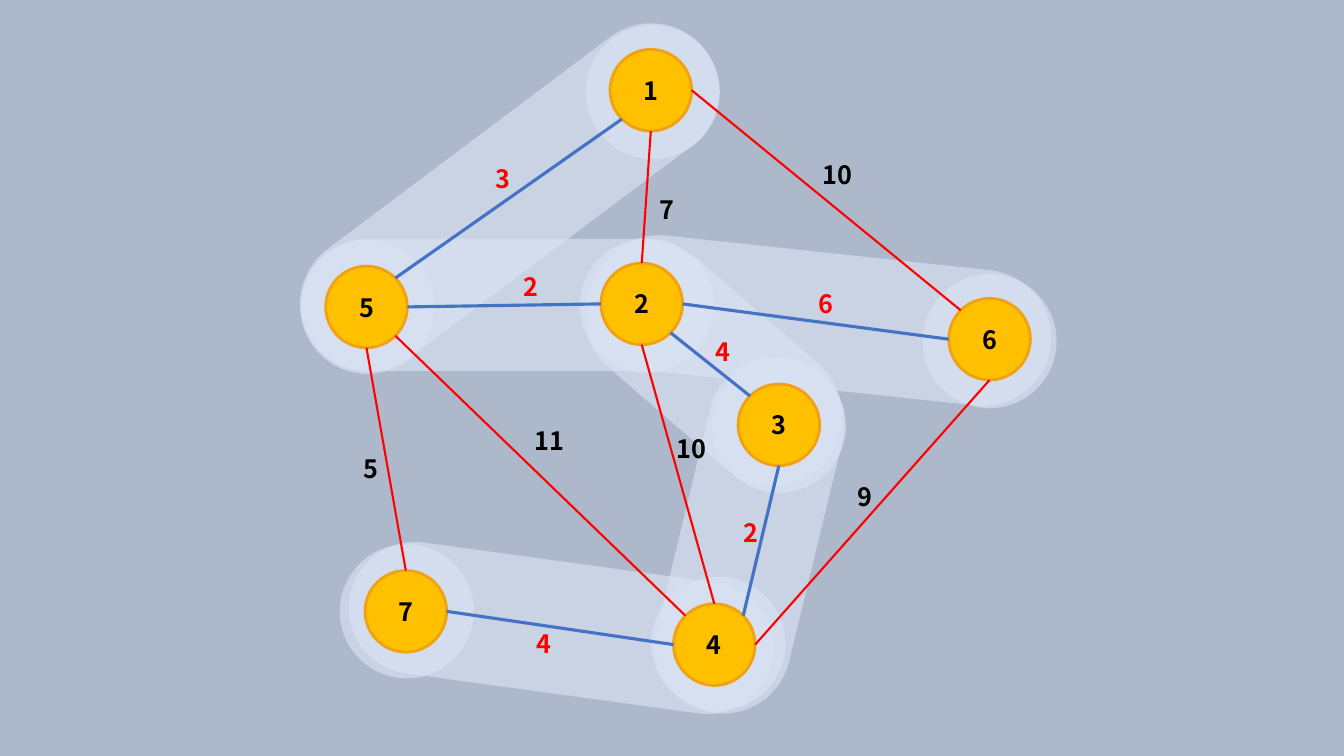
import math

from pptx import Presentation
from pptx.dml.color import RGBColor
from pptx.enum import shapes, text
from pptx.oxml import ns, xmlchemy
from pptx.util import Inches, Pt

COLORS = {"background": "ADB9CA", "halo": "DAE3F3", "node": "FFC000", "rim": "F1A116",
          "tree": "4472C4", "rest": "FF0000", "chosen": "FF0000", "plain": "000000"}
FONT = "Noto Sans CJK KR"
NODE_SIZE = 0.81
HALO_SIZE = 1.33
LABEL_HEIGHT = 0.4

BANDS_AND_HALOS = [
    ((7.47, 0.89, 1.35, 4.58, 96.1), (9.15, 2.72)),
    ((4.91, 4.11, 1.31, 4.24, 97.8), (3.37, 5.4)),
    ((6.76, 3.51, 1.35, 3.6, 193.6), (6.46, 5.72)),
    ((6.38, 2.16, 1.39, 2.93, 130.9), (7.06, 3.56)),
    ((4.38, 0.98, 1.31, 4.09, 90), (5.75, 2.37)),
    ((4.38, -0.47, 1.35, 4.86, 53.1), (5.81, 0.25)),
    (None, (2.98, 2.38)),
]
NODES = {1: (6.05, 0.49), 6: (9.41, 2.96), 5: (3.23, 2.64), 4: (6.68, 5.99),
         7: (3.62, 5.66), 3: (7.32, 3.81), 2: (5.96, 2.61)}
ANGLES = {"E": 0, "SE": 45, "S": 90, "SW": 135, "W": 180, "NW": 225, "N": 270, "NE": 315}
EDGES = [
    (1, "E", 6, "NW", "rest"), (5, "NE", 1, "SW", "tree"), (2, "E", 6, "W", "tree"),
    (3, "S", 4, "NE", "tree"), (4, "E", 6, "S", "rest"), (2, "SE", 3, "NW", "tree"),
    (5, "S", 7, "N", "rest"), (1, "S", 2, "N", "rest"), (5, "E", 2, "W", "tree"),
    (2, "S", 4, "N", "rest"), (7, "E", 4, "W", "tree"), (5, "SE", 4, "NW", "rest"),
]
EDGE_WIDTHS = {"tree": 2.25, "rest": 1.5}
WEIGHTS = [
    (10, 8.06, 1.53, "plain"), (3, 4.82, 1.57, "chosen"), (7, 6.44, 1.88, "plain"),
    (6, 8.02, 2.81, "chosen"), (2, 5.09, 2.64, "chosen"), (10, 6.61, 4.25, "plain"),
    (4, 7, 3.29, "chosen"), (2, 7.28, 5.08, "chosen"), (4, 5.22, 6.18, "chosen"),
    (9, 8.41, 4.73, "plain"), (11, 5.2, 4.17, "plain"), (5, 3.51, 4.45, "plain"),
]


def rgb(name):
    return RGBColor.from_string(COLORS[name])


def add_filled(slide, kind, left, top, width, height, color):
    shape = slide.shapes.add_shape(kind, Inches(left), Inches(top), Inches(width), Inches(height))
    shape.shadow.inherit = False
    shape.fill.solid()
    shape.fill.fore_color.rgb = rgb(color)
    shape.line.fill.background()
    return shape


def make_translucent(shape, percent):
    color = shape.fill._xPr.find(ns.qn("a:solidFill"))[0]
    alpha = xmlchemy.OxmlElement("a:alpha")
    alpha.set("val", str(percent * 1000))
    color.append(alpha)


def write_number(frame, number, color):
    paragraph = frame.paragraphs[0]
    paragraph.text = str(number)
    paragraph.font.name = FONT
    paragraph.font.size = Pt(18)
    paragraph.font.bold = True
    paragraph.font.color.rgb = rgb(color)
    return paragraph


def add_band(slide, left, top, width, height, rotation):
    band = add_filled(slide, shapes.MSO_SHAPE.ROUNDED_RECTANGLE, left, top, width, height, "halo")
    band.adjustments[0] = 0.5
    band.rotation = rotation
    make_translucent(band, 63)


def add_halo(slide, left, top):
    halo = add_filled(slide, shapes.MSO_SHAPE.OVAL, left, top, HALO_SIZE, HALO_SIZE, "halo")
    make_translucent(halo, 63)


def add_node(slide, number, left, top):
    node = add_filled(slide, shapes.MSO_SHAPE.OVAL, left, top, NODE_SIZE, NODE_SIZE, "node")
    node.line.color.rgb = rgb("rim")
    node.line.width = Pt(2)
    node.text_frame.vertical_anchor = text.MSO_ANCHOR.MIDDLE
    write_number(node.text_frame, number, "plain").alignment = text.PP_ALIGN.CENTER


def rim_point(number, side):
    left, top = NODES[number]
    angle = math.radians(ANGLES[side])
    radius = NODE_SIZE / 2
    return (Inches(left + radius * (1 + math.cos(angle))),
            Inches(top + radius * (1 + math.sin(angle))))


def add_edge(slide, start, start_side, end, end_side, kind):
    edge = slide.shapes.add_connector(shapes.MSO_CONNECTOR.STRAIGHT,
                                      *rim_point(start, start_side), *rim_point(end, end_side))
    edge.line.color.rgb = rgb(kind)
    edge.line.width = Pt(EDGE_WIDTHS[kind])
    edge._element.spPr.append(xmlchemy.OxmlElement("a:effectLst"))


def add_weight(slide, weight, left, top, color):
    width = 0.35 if weight < 10 else 0.52
    label = slide.shapes.add_textbox(Inches(left), Inches(top), Inches(width), Inches(LABEL_HEIGHT))
    label.text_frame.word_wrap = False
    label.text_frame.auto_size = text.MSO_AUTO_SIZE.SHAPE_TO_FIT_TEXT
    write_number(label.text_frame, weight, color)


def main():
    deck = Presentation()
    deck.slide_width = Inches(13.33)
    deck.slide_height = Inches(7.5)
    slide = deck.slides.add_slide(deck.slide_layouts[6])
    slide.background.fill.solid()
    slide.background.fill.fore_color.rgb = rgb("background")
    for band, halo in BANDS_AND_HALOS:
        if band:
            add_band(slide, *band)
        add_halo(slide, *halo)
    for number, position in NODES.items():
        add_node(slide, number, *position)
    for edge in EDGES:
        add_edge(slide, *edge)
    for weight in WEIGHTS:
        add_weight(slide, *weight)
    deck.save("out.pptx")


if __name__ == "__main__":
    main()
